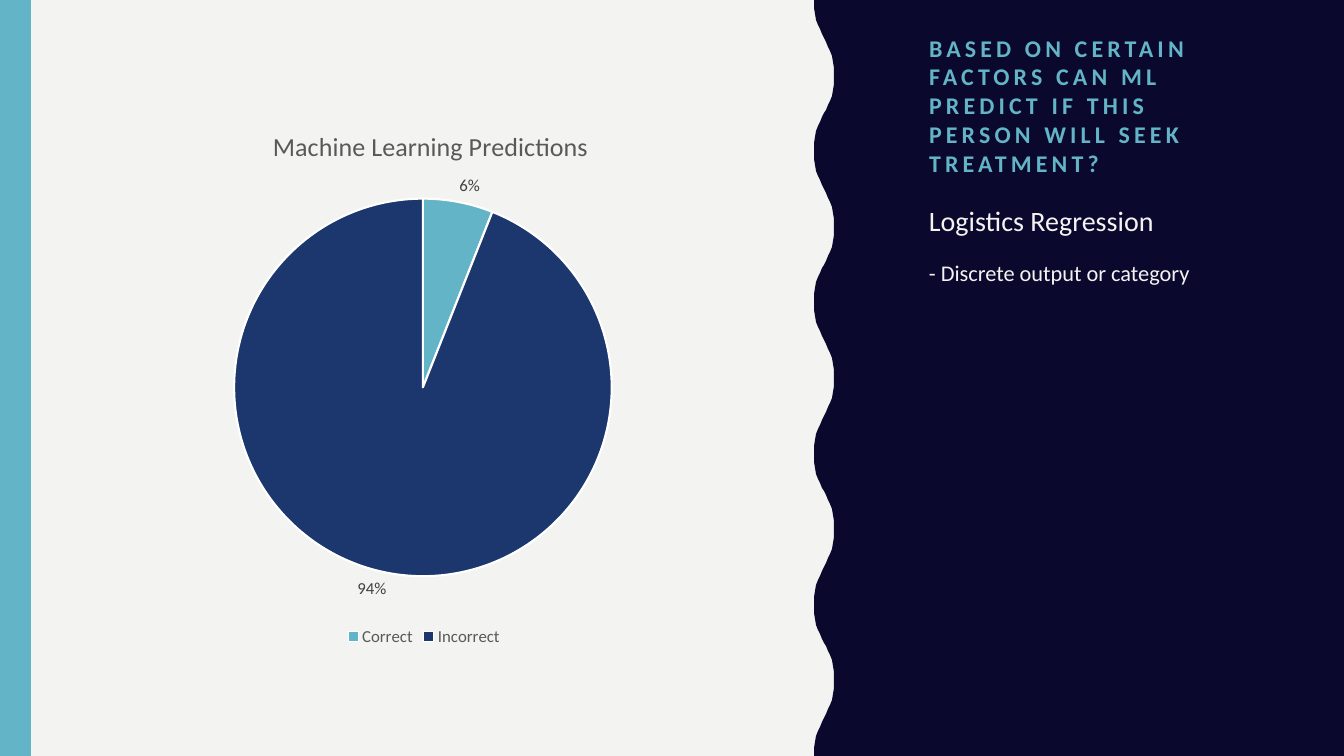
from lxml import etree
from pptx import Presentation
from pptx.chart.data import CategoryChartData
from pptx.dml.color import RGBColor
from pptx.enum.chart import XL_CHART_TYPE, XL_LABEL_POSITION, XL_LEGEND_POSITION
from pptx.enum.shapes import MSO_SHAPE
from pptx.enum.text import MSO_ANCHOR, MSO_AUTO_SIZE, PP_ALIGN
from pptx.oxml import parse_xml
from pptx.oxml.ns import nsdecls
from pptx.util import Pt

PIE, OUTSIDE_END = XL_CHART_TYPE.PIE, XL_LABEL_POSITION.OUTSIDE_END
LEGEND_BOTTOM = XL_LEGEND_POSITION.BOTTOM
RECTANGLE = MSO_SHAPE.RECTANGLE
TOP, BOTTOM, LEFT = MSO_ANCHOR.TOP, MSO_ANCHOR.BOTTOM, PP_ALIGN.LEFT
NO_FIT = MSO_AUTO_SIZE.NONE

SCALE = 914400 / 100.8
WIDTH, HEIGHT = 1344, 756
FONT = "Calibri"
PAPER = RGBColor(0xF3, 0xF3, 0xF2)
NIGHT = RGBColor(0x0B, 0x08, 0x2E)
TEAL = RGBColor(0x62, 0xB4, 0xC6)
NAVY = RGBColor(0x1B, 0x37, 0x6E)
WHITE = RGBColor(0xFF, 0xFF, 0xFF)
GREY = RGBColor(0x59, 0x59, 0x59)
DARK_GREY = RGBColor(0x40, 0x40, 0x40)

WAVES, WAVE_DEPTH = 5, 20
# Outline from a wave's trough to its midpoint, as (depth, distance along).
QUARTER_WAVE = [(0, 0), (0, 8), (1, 14), (2, 20), (4, 25), (6, 29), (8, 34)]


def emu(pixels):
    """Turn pixels into EMU."""
    return round(pixels * SCALE)


def place(shape, box):
    """Move a shape to a box of left, top, width and height."""
    shape.left, shape.top, shape.width, shape.height = map(emu, box)


def style(font, size, color, bold=False):
    """Set the look of a font."""
    font.name, font.size, font.bold = FONT, Pt(size), bold
    font.color.rgb = color


def paint(shape, color):
    """Give a shape a plain fill without line or shadow."""
    shape.shadow.inherit = False
    shape.fill.solid()
    shape.fill.fore_color.rgb = color
    shape.line.fill.background()


def add_stripe(page, box):
    """Draw the accent stripe."""
    stripe = page.shapes.add_shape(RECTANGLE, *map(emu, box))
    paint(stripe, TEAL)


def add_wavy_panel(page, box):
    """Draw the dark panel, whose left edge is a row of equal waves."""
    left, top, width, height = box
    period = height / WAVES
    half = QUARTER_WAVE + [(WAVE_DEPTH / 2, period / 4)]
    half += [(WAVE_DEPTH - x, period / 2 - y) for x, y in reversed(QUARTER_WAVE)]
    wave = half + [(x, period - y) for x, y in reversed(half[:-1])]
    edge = [(left + x, top + number * period + y)
            for number in range(WAVES) for x, y in wave]
    builder = page.shapes.build_freeform(left + width, top, scale=SCALE)
    builder.add_line_segments([(left + width, top + height)] + edge[::-1])
    paint(builder.convert_to_shape(), NIGHT)


def add_title(page, box):
    """Format the title placeholder and bring it in front of the panel."""
    title = page.shapes.title
    place(title, box)
    frame = title.text_frame
    frame.word_wrap, frame.auto_size = True, NO_FIT
    frame.vertical_anchor = BOTTOM
    para = frame.paragraphs[0]
    para.alignment = LEFT
    span = para.add_run()
    span.text = ("BASED ON CERTAIN FACTORS CAN ML PREDICT "
                 "IF THIS PERSON WILL SEEK TREATMENT?")
    style(span.font, 17.1, TEAL, bold=True)
    span.font._element.set("spc", "300")
    title.element.getparent().append(title.element)


def add_method(page, box):
    """Write the method and its explanation."""
    frame = page.shapes.add_textbox(*map(emu, box)).text_frame
    frame.word_wrap, frame.auto_size = True, NO_FIT
    frame.vertical_anchor = TOP
    lines = [("Logistics Regression", 20), ("- Discrete output or category", 16)]
    for number, (text, size) in enumerate(lines):
        para = frame.add_paragraph() if number else frame.paragraphs[0]
        para.line_spacing, para.space_before = 1.2, Pt(12)
        span = para.add_run()
        span.text = text
        style(span.font, size, PAPER)


def manual_layout(inner=False, **values):
    """Make a chart layout from fractions of the chart's size."""
    layout = parse_xml(f"<c:layout {nsdecls('c')}><c:manualLayout/></c:layout>")
    namespace = etree.QName(layout).namespace
    parts = [("layoutTarget", "inner")] if inner else []
    parts += [("xMode", "edge"), ("yMode", "edge")] + list(values.items())
    for name, value in parts:
        etree.SubElement(layout[0], f"{{{namespace}}}{name}").set("val", str(value))
    return layout


def add_prediction_chart(page, box):
    """Draw the pie of correct and incorrect predictions."""
    data = CategoryChartData()
    data.categories = ["Correct", "Incorrect"]
    data.add_series("Series 1", (6, 94))
    chart = page.shapes.add_chart(PIE, *map(emu, box), data).chart
    chart.font.name, chart.font.size = FONT, Pt(10)

    chart.has_title = True
    span = chart.chart_title.text_frame.paragraphs[0].add_run()
    span.text = "Machine Learning Predictions"
    style(span.font, 18.6, GREY)
    heading = chart.chart_title._element
    for old in heading.findall("{*}layout"):
        heading.remove(old)
    heading.find("{*}tx").addnext(manual_layout(x=0.27, y=0.04))

    chart.has_legend = True
    chart.legend.position = LEGEND_BOTTOM
    chart.legend.include_in_layout = False
    style(chart.legend.font, 12, GREY)

    plot = chart.plots[0]
    plot.vary_by_categories = True
    area = plot._element.getparent()
    for old in area.findall("{*}layout"):
        area.remove(old)
    area.insert(0, manual_layout(inner=True, x=0.22, y=0.175, w=0.557, h=0.69))
    for number, color in enumerate((TEAL, NAVY)):
        look = plot.series[0].points[number].format
        look.fill.solid()
        look.fill.fore_color.rgb = color
        look.line.color.rgb = WHITE
        look.line.width = Pt(1.5)

    plot.has_data_labels = True
    labels = plot.data_labels
    labels.show_percentage, labels.show_value = True, False
    labels.number_format, labels.number_format_is_linked = "0%", False
    labels.position = OUTSIDE_END
    style(labels.font, 12, DARK_GREY)


def main():
    """Build the deck and save it."""
    deck = Presentation()
    deck.slide_width, deck.slide_height = emu(WIDTH), emu(HEIGHT)
    page = deck.slides.add_slide(deck.slide_layouts[5])
    page.background.fill.solid()
    page.background.fill.fore_color.rgb = PAPER
    add_wavy_panel(page, (814, 0, WIDTH - 814, HEIGHT))
    add_stripe(page, (0, 0, 31, HEIGHT))
    add_title(page, (919, 50, 341, 132))
    add_method(page, (919, 192, 341, 459))
    add_prediction_chart(page, (85, 102, 678, 549))
    deck.save("out.pptx")


main()
